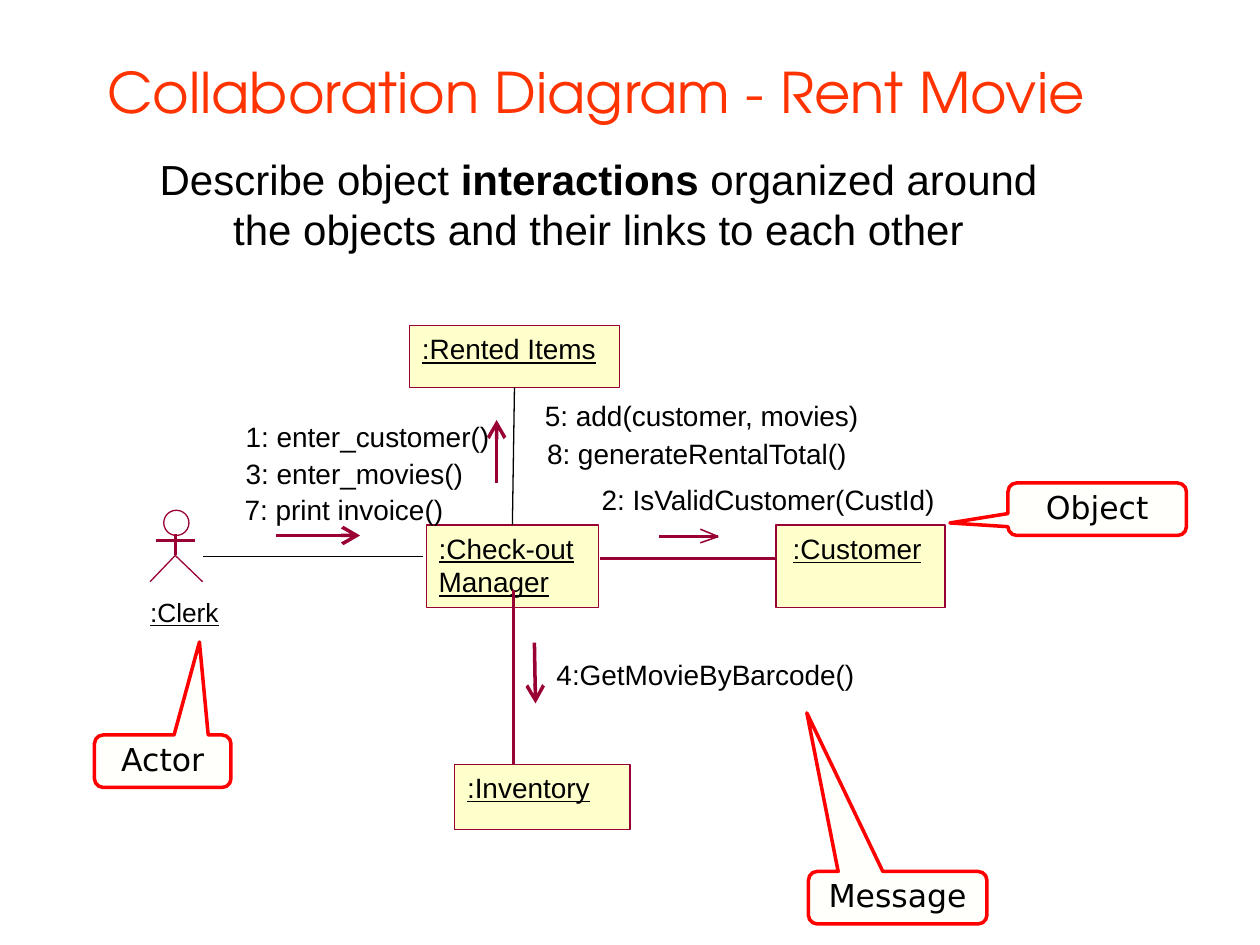
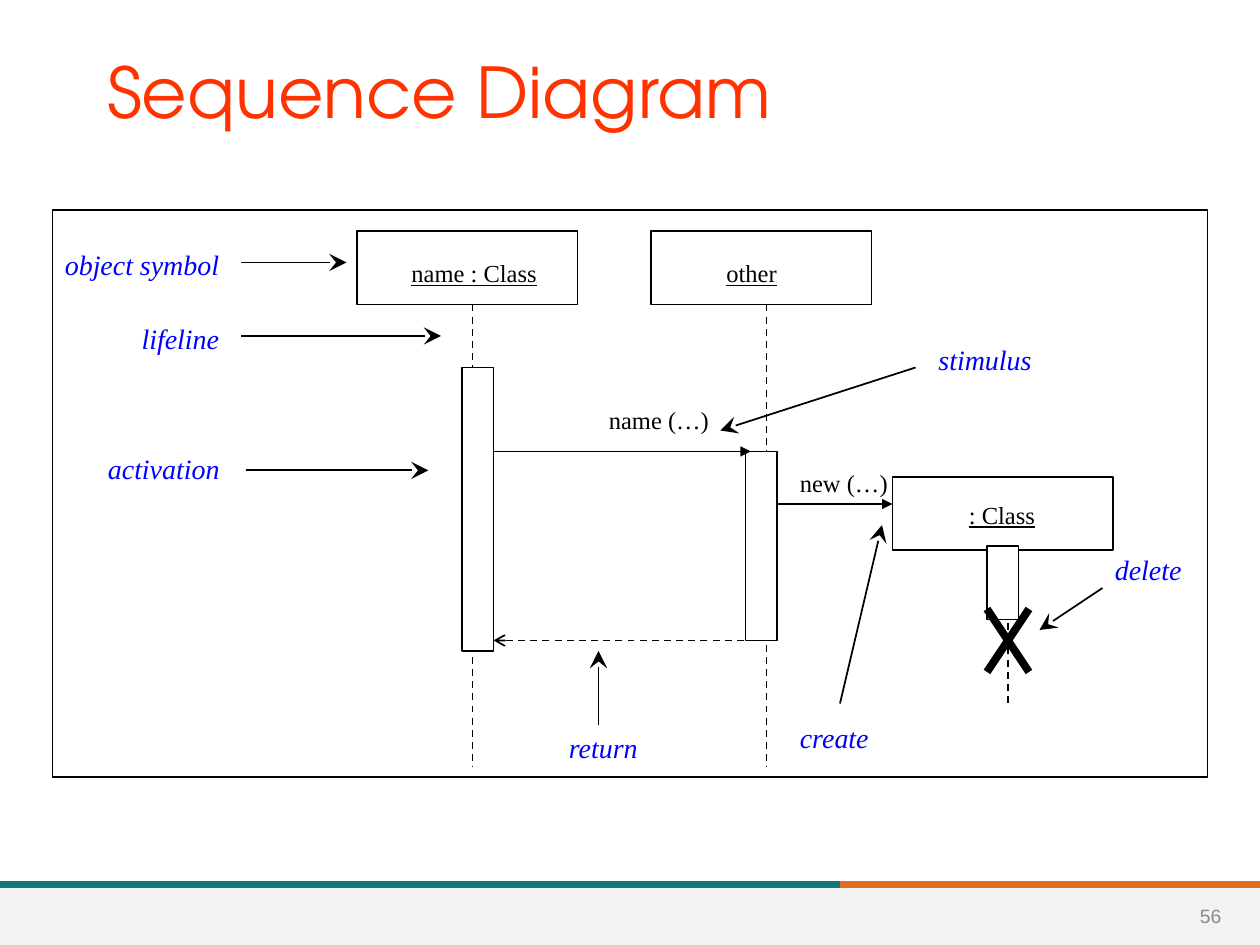
from dataclasses import dataclass

from lxml.etree import SubElement
from pptx import Presentation
from pptx.dml.color import RGBColor
from pptx.enum.dml import MSO_LINE
from pptx.enum.shapes import MSO_CONNECTOR, MSO_SHAPE
from pptx.enum.text import MSO_ANCHOR, MSO_AUTO_SIZE, PP_ALIGN
from pptx.oxml.ns import qn
from pptx.util import Inches, Pt

COLUMNS, ROWS = 120, 90
TITLE_ONLY = 5
TOP, BOTTOM = 0, 2


@dataclass(frozen=True)
class Theme:
    title_font: str = "TeX Gyre Adventor"
    body_font: str = "Arial"
    callout_font: str = "DejaVu Sans"
    sequence_font: str = "Times New Roman"
    title: str = "FF3300"
    ink: str = "000000"
    paper: str = "FFFFFF"
    uml_fill: str = "FFFFCC"
    uml_line: str = "990033"
    callout_fill: str = "FFFFFB"
    callout_line: str = "FF0000"
    note: str = "0000FF"
    teal: str = "0F787D"
    orange: str = "DF7023"
    footer: str = "F2F2F2"
    page: str = "898989"
    intro_size: int = 24
    callout_size: int = 18
    label_size: int = 16
    actor_size: int = 15
    object_size: int = 14
    page_size: int = 11
    hairline: float = 0
    thin: float = 0.75
    normal: float = 1
    callout_width: float = 2
    band_width: float = 4
    cross_width: float = 4.5


THEME = Theme()
HEADS = {"flow": ("arrow", "lg"), "note": ("stealth", "lg"),
         "call": ("triangle", "med"), "return": ("arrow", "med")}


def rgb(value):
    return RGBColor.from_string(value)


class Deck:
    def __init__(self, theme):
        self.theme = theme
        self.presentation = Presentation()
        self.presentation.slide_width = Inches(10)
        self.presentation.slide_height = Inches(7.5)
        self.slide = None

    def x(self, columns):
        return round(self.presentation.slide_width * columns / COLUMNS)

    def y(self, rows):
        return round(self.presentation.slide_height * rows / ROWS)

    def area(self, left, top, width, height):
        return self.x(left), self.y(top), self.x(width), self.y(height)

    def new_slide(self, title, size):
        layout = self.presentation.slide_layouts[TITLE_ONLY]
        self.slide = self.presentation.slides.add_slide(layout)
        heading = self.slide.shapes.title
        heading.left, heading.top, heading.width, heading.height = self.area(9, 4.4, 102, 8.5)
        self.fill_text(heading, [(title, {})], size, self.theme.title_font, self.theme.title,
                       anchor=MSO_ANCHOR.MIDDLE, wrap=True)

    def fill_text(self, holder, runs, size, font, color, align=PP_ALIGN.LEFT,
                  anchor=MSO_ANCHOR.TOP, wrap=False, inset=True, before=0, spacing=None):
        frame = holder.text_frame
        frame.auto_size = MSO_AUTO_SIZE.NONE
        frame.word_wrap = wrap
        frame.vertical_anchor = anchor
        frame.margin_left = frame.margin_right = Inches(0.1 if inset else 0)
        frame.margin_top = frame.margin_bottom = Inches(0.05 if inset else 0)
        paragraph = frame.paragraphs[0]
        paragraph.alignment = align
        paragraph.space_before = Pt(before)
        if spacing:
            paragraph.line_spacing = spacing
        for words, style in runs:
            run = paragraph.add_run()
            run.text = words
            run.font.size = Pt(size)
            run.font.name = font
            run.font.color.rgb = rgb(color)
            run.font.bold = style.get("bold")
            run.font.italic = style.get("italic")
            run.font.underline = style.get("underline")

    def text(self, area, runs, size, font, color, **layout):
        holder = self.slide.shapes.add_textbox(*self.area(*area))
        self.fill_text(holder, runs, size, font, color, **layout)

    def paint(self, shape, fill, line, width):
        shape.shadow.inherit = False
        if fill:
            shape.fill.solid()
            shape.fill.fore_color.rgb = rgb(fill)
        else:
            shape.fill.background()
        if line:
            shape.line.color.rgb = rgb(line)
            shape.line.width = Pt(width)
        else:
            shape.line.fill.background()
        return shape

    def shape(self, area, fill=None, line=None, width=0, kind=MSO_SHAPE.RECTANGLE):
        return self.paint(self.slide.shapes.add_shape(kind, *self.area(*area)),
                          fill, line, width)

    def outline(self, points, line, width):
        first, *rest = [(self.x(column), self.y(row)) for column, row in points]
        builder = self.slide.shapes.build_freeform(*first)
        builder.add_line_segments(rest, close=False)
        self.paint(builder.convert_to_shape(), None, line, width)

    def line(self, start, end, color, width, head=None, dashed=False):
        (x1, y1), (x2, y2) = start, end
        connector = self.slide.shapes.add_connector(
            MSO_CONNECTOR.STRAIGHT, self.x(x1), self.y(y1), self.x(x2), self.y(y2))
        connector.line.color.rgb = rgb(color)
        connector.line.width = Pt(width)
        if dashed:
            connector.line.dash_style = MSO_LINE.DASH
        properties = connector._element.spPr
        if head:
            kind, size = HEADS[head]
            SubElement(properties.find(qn("a:ln")), qn("a:tailEnd"), type=kind, w=size, len=size)
        SubElement(properties, qn("a:effectLst"))
        return connector

    def uml_line(self, start, end, width=THEME.hairline, head=None):
        self.line(start, end, self.theme.uml_line, width, head)

    def ink_line(self, start, end, head=None, dashed=False):
        self.line(start, end, self.theme.ink, self.theme.normal, head, dashed)

    def uml_object(self, area, name=None):
        box = self.shape(area, self.theme.uml_fill, self.theme.uml_line, self.theme.hairline)
        if name:
            self.fill_text(box, [(name, {"underline": True})], self.theme.label_size,
                           self.theme.body_font, self.theme.ink, wrap=True)
        return box

    def message(self, words, left, top, width, size=THEME.label_size, underline=None):
        self.text((left, top, width, 3.2), [(words, {"underline": underline})], size,
                  self.theme.body_font, self.theme.ink, inset=False)

    def callout(self, words, area, pointer):
        bubble = self.shape(area, self.theme.callout_fill, self.theme.callout_line,
                            self.theme.callout_width, MSO_SHAPE.ROUNDED_RECTANGULAR_CALLOUT)
        for index, value in enumerate(pointer):
            bubble.adjustments[index] = value
        self.fill_text(bubble, [(words, {})], self.theme.callout_size, self.theme.callout_font,
                       self.theme.ink, align=PP_ALIGN.CENTER, anchor=MSO_ANCHOR.MIDDLE,
                       before=9, spacing=0.89)

    def sequence_label(self, words, left, top, width, underline=None):
        self.text((left, top, width, 4.1), [(words, {"underline": underline})],
                  self.theme.object_size, self.theme.sequence_font, self.theme.ink)

    def note(self, words, left, top, width, start, end):
        """Blue term with an arrow to the part it explains."""
        self.text((left, top, width, 4.4), [(words, {"italic": True})],
                  self.theme.label_size, self.theme.sequence_font, self.theme.note)
        self.ink_line(start, end, "note")

    def activation(self, left, top, height):
        self.shape((left, top, 3, height), self.theme.paper, self.theme.ink, self.theme.normal)

    def footer(self, page):
        split, row = COLUMNS * 2 / 3, 84.2
        self.line((split, row), (COLUMNS, row), self.theme.orange, self.theme.band_width)
        self.line((0, row), (split, row), self.theme.teal, self.theme.band_width)
        self.shape((0, 84.6, COLUMNS, 5.4), self.theme.footer)
        self.text((112.2, 84.8, 6.2, 4.8), [(page, {})], self.theme.page_size,
                  self.theme.body_font, self.theme.page, align=PP_ALIGN.CENTER,
                  anchor=MSO_ANCHOR.MIDDLE, wrap=True)


def draw_clerk(deck):
    deck.shape((15.6, 48.6, 2.4, 2.4), None, THEME.uml_line, THEME.hairline, MSO_SHAPE.OVAL)
    deck.uml_line((16.7, 50.9), (16.7, 52.9))
    deck.uml_line((14.9, 51.5), (18.6, 51.5))
    deck.outline([(14.3, 55.4), (16.7, 52.9), (19.3, 55.4)], THEME.uml_line, THEME.hairline)
    deck.message(":Clerk", 14.3, 56.8, 6.5, THEME.actor_size, underline=True)


def collaboration_slide(deck):
    deck.new_slide("Collaboration Diagram - Rent Movie", 32)

    manager = deck.uml_object((40.6, 50, 16.4, 7.9), ":Check-out Manager")
    deck.uml_object((73.9, 50, 16.1, 7.9))
    deck.message(":Customer", 75.5, 50.6, 12.2, underline=True)
    deck.uml_object((43.3, 72.8, 16.7, 6.2), ":Inventory")
    rented_items = deck.uml_object((39, 31, 20, 5.9), ":Rented Items")
    draw_clerk(deck)

    for message in [("1: enter_customer()", 23.4, 40, 23.3),
                    ("3: enter_movies()", 23.4, 43.5, 20.8),
                    ("7: print invoice()", 23.3, 46.9, 19),
                    ("5: add(customer, movies)", 51.9, 38, 30),
                    ("8: generateRentalTotal()", 52.1, 41.6, 28.8),
                    ("2: IsValidCustomer(CustId)", 57.3, 46, 31.9),
                    ("4:GetMovieByBarcode()", 53, 62.6, 28.4)]:
        deck.message(*message)

    deck.uml_line((57.1, 53.2), (73.9, 53.2))
    deck.uml_line((48.9, 56.2), (48.9, 72.8))
    deck.line((40.3, 53), (19.3, 53), THEME.ink, THEME.thin)
    link = deck.line((48.8, 50), (49, 36.9), THEME.ink, THEME.thin)
    link.begin_connect(manager, TOP)
    link.end_connect(rented_items, BOTTOM)

    for start, end in [((50.9, 61.2), (51, 67)),
                       ((26.3, 51), (34.3, 51)),
                       ((47.3, 46), (47.3, 40))]:
        deck.uml_line(start, end, head="flow")
    customer_tip = (68.4, 51.1)
    deck.uml_line((62.8, 51.1), customer_tip)
    for barb_row in (50.4, 51.7):
        deck.uml_line(customer_tip, (66.7, barb_row), 0.88)

    deck.callout("Object", (96, 46, 17, 5), (-0.825, 0.262, 0.167))
    deck.callout("Message", (77, 83, 17, 5), (-0.509, -3.521, 0.167))
    deck.callout("Actor", (9, 70, 13, 5), (0.269, -2.271, 0.167))

    deck.text((13, 14, 88, 10.8),
              [("Describe object ", {}), ("interactions", {"bold": True}),
               (" organized around the objects and their links to each other", {})],
              THEME.intro_size, THEME.body_font, THEME.ink,
              align=PP_ALIGN.CENTER, wrap=True, before=6)


def sequence_slide(deck):
    deck.new_slide("Sequence Diagram", 40)
    deck.footer("56")
    deck.shape((5, 20, 110, 54), THEME.paper, THEME.ink, THEME.normal)

    for name, left, top, name_at, lifeline_end, bar in [
            ("name : Class", 34, 22, (38, 24, 14.3), 73, (44, 35, 27)),
            ("other", 62, 22, (68, 24, 7.2), 73, (71, 43, 18)),
            (": Class", 85, 45.4, (91.1, 47, 8.6), 67, (94, 52, 7))]:
        deck.ink_line((left + 11, top + 7), (left + 11, lifeline_end), dashed=True)
        deck.sequence_label(name, *name_at, underline=True)
        deck.shape((left, top, 21, 7), None, THEME.ink, THEME.normal)
        deck.activation(*bar)

    deck.ink_line((47, 43), (71.5, 43), "call")
    deck.sequence_label("name (…)", 56.8, 38, 11.9)
    deck.ink_line((74, 48), (85, 48), "call")
    deck.sequence_label("new (…)", 75, 44, 10.8)
    deck.ink_line((72, 61), (47, 61), "return", dashed=True)
    for start, end in [(94, 98), (98, 94)]:
        deck.line((start, 58), (end, 64), THEME.ink, THEME.cross_width)

    for note in [("object symbol", 5, 23, 17, (23, 25), (33, 25)),
                 ("lifeline", 12.3, 30, 9.7, (23, 32), (42, 32)),
                 ("activation", 9.1, 42.4, 12.9, (23.4, 44.8), (40.8, 44.8)),
                 ("stimulus", 88.2, 32, 11.3, (87.2, 35), (68.6, 41)),
                 ("return", 53, 69, 9, (57, 69), (57, 62)),
                 ("create", 75, 68, 9, (80, 67), (84, 50)),
                 ("delete", 105, 52, 8.8, (105, 56), (99, 60))]:
        deck.note(*note)


def main():
    deck = Deck(THEME)
    collaboration_slide(deck)
    sequence_slide(deck)
    deck.presentation.save("out.pptx")


if __name__ == "__main__":
    main()
